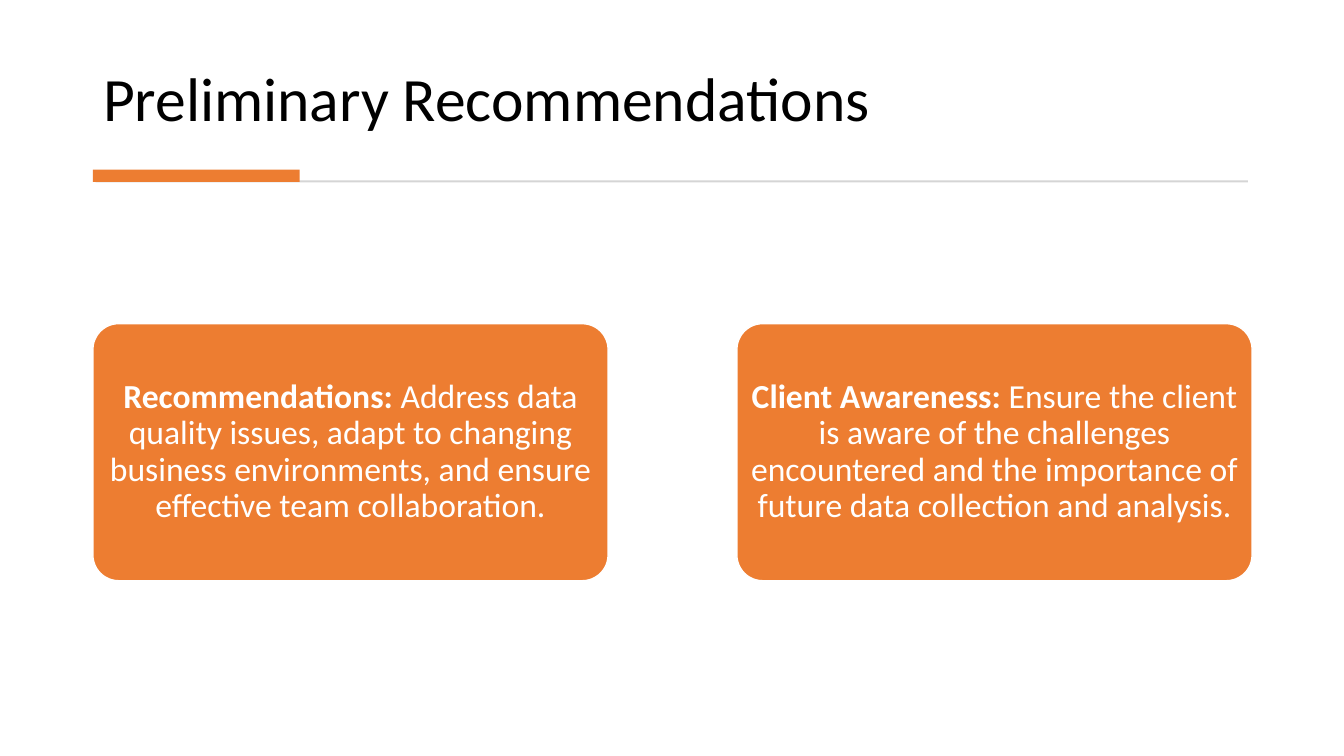
import pptx
import pptx.util
import pptx.dml.color
import pptx.enum.shapes
import pptx.enum.text

Pt = pptx.util.Pt
SHAPES = pptx.enum.shapes.MSO_SHAPE
ANCHOR = pptx.enum.text.MSO_ANCHOR
ALIGN = pptx.enum.text.PP_ALIGN

COLORS = {"orange": "ED7D31", "rule": "D5D5D5", "white": "FFFFFF", "black": "000000"}
FONT = "Calibri"
LEFT = 66.4
CARD_TOP, CARD_WIDTH, CARD_HEIGHT, CARD_STEP = 231.2, 368, 183.6, 460

CARDS = [
    ("Recommendations: ",
     "Address data quality issues, adapt to changing business environments, "
     "and ensure effective team collaboration."),
    ("Client Awareness: ",
     "Ensure the client is aware of the challenges encountered and the "
     "importance of future data collection and analysis."),
]


def rgb(name):
    return pptx.dml.color.RGBColor.from_string(COLORS[name])


def add_filled_shape(kind, left, top, width, height, color):
    """Add a borderless, shadowless shape with a solid fill."""
    shape = slide.shapes.add_shape(kind, Pt(left), Pt(top), Pt(width), Pt(height))
    shape.shadow.inherit = False
    shape.fill.solid()
    shape.fill.fore_color.rgb = rgb(color)
    shape.line.fill.background()
    return shape


presentation = pptx.Presentation()
presentation.slide_width = Pt(960)
presentation.slide_height = Pt(540)
slide = presentation.slides.add_slide(presentation.slide_layouts[5])

# Title
title = slide.shapes.title
title.left, title.top, title.width, title.height = Pt(LEFT), Pt(20.2), Pt(827.3), Pt(80)
title.text_frame.text = "Preliminary Recommendations"
title.text_frame.vertical_anchor = ANCHOR.BOTTOM
title.text_frame.auto_size = pptx.enum.text.MSO_AUTO_SIZE.NONE
paragraph = title.text_frame.paragraphs[0]
paragraph.alignment = ALIGN.LEFT
paragraph.line_spacing = 0.9
paragraph.font.name = FONT
paragraph.font.size = Pt(44)
paragraph.font.color.rgb = rgb("black")

# Rule with accent bar
add_filled_shape(SHAPES.RECTANGLE, 68.4, 128.9, 823, 1.4, "rule")
add_filled_shape(SHAPES.RECTANGLE, LEFT, 121.2, 147.6, 8.8, "orange")

# Cards
for index, (heading, body) in enumerate(CARDS):
    card = add_filled_shape(SHAPES.ROUNDED_RECTANGLE, LEFT + index * CARD_STEP,
                            CARD_TOP, CARD_WIDTH, CARD_HEIGHT, "orange")
    card.adjustments[0] = 0.1
    card.line.color.rgb = rgb("white")
    card.line.width = Pt(1)
    frame = card.text_frame
    frame.word_wrap = True
    frame.vertical_anchor = ANCHOR.MIDDLE
    frame.margin_left = frame.margin_right = Pt(3.6)
    frame.margin_top = frame.margin_bottom = Pt(2.4)
    paragraph = frame.paragraphs[0]
    paragraph.alignment = ALIGN.CENTER
    paragraph.line_spacing = 0.9
    paragraph.font.name = FONT
    paragraph.font.size = Pt(24)
    paragraph.font.color.rgb = rgb("white")
    for text, bold in ((heading, True), (body, False)):
        run = paragraph.add_run()
        run.text = text
        run.font.bold = bold

presentation.save("out.pptx")
